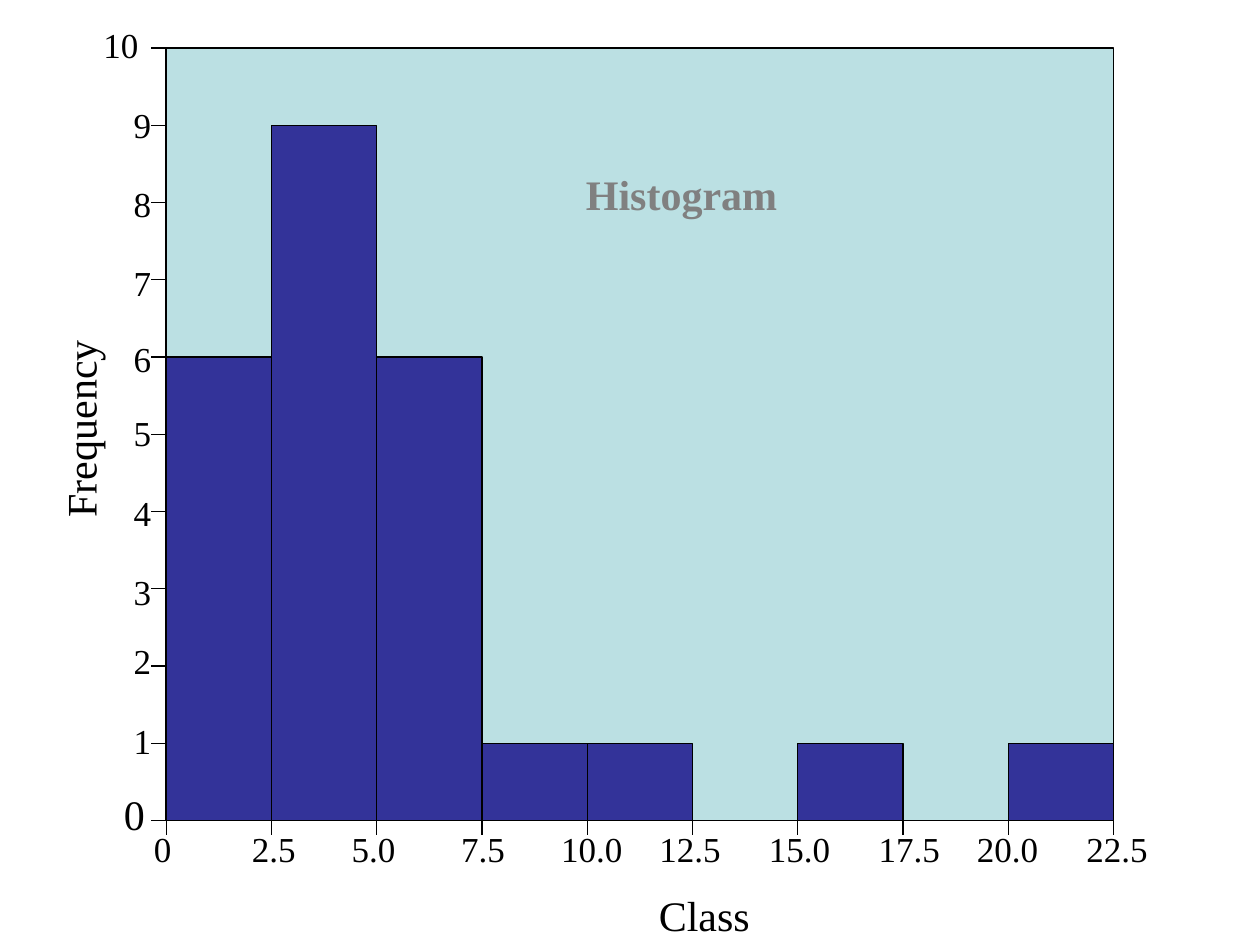
from dataclasses import dataclass

from lxml.etree import SubElement
from pptx import Presentation
from pptx.dml.color import RGBColor
from pptx.enum.shapes import MSO_CONNECTOR as Link, MSO_SHAPE as Kind
from pptx.enum.text import MSO_ANCHOR as Anchor, MSO_AUTO_SIZE as Fit, PP_ALIGN as Align
from pptx.oxml.ns import qn
from pptx.util import Cm, Pt

BLACK = RGBColor(0x00, 0x00, 0x00)
GREY = RGBColor(0x80, 0x80, 0x80)
PALE = RGBColor(0xBB, 0xE0, 0xE3)
BLUE = RGBColor(0x33, 0x33, 0x99)
FONT = "Times New Roman"

# Plot area and its scales, in centimetres
LEFT, TOP, WIDTH, HEIGHT = 3.35, 0.97, 19.1, 15.57
BASE = TOP + HEIGHT
COUNTS = [6, 9, 6, 1, 1, 0, 1, 0, 1]
PEAK = 10
STEP = WIDTH / len(COUNTS)
UNIT = HEIGHT / PEAK
TICK = 0.3

# Centres of the axis numbers
CLASS_X = [3.28, 5.52, 7.53, 9.74, 11.93, 13.91, 16.12, 18.33, 20.31, 22.52]
CLASS_Y = 17.1
COUNT_Y = [14.92, 13.32, 11.93, 10.33, 8.72, 7.23, 5.7, 4.1, 2.5]
COUNT_X = 2.87


@dataclass
class Label:
    text: str
    x: float
    y: float
    width: float = 1.75
    size: int = 20
    color: RGBColor = BLACK
    bold: bool = False
    turn: int = 0


@dataclass
class Block:
    x: float
    y: float
    width: float
    height: float
    fill: RGBColor


def draw_tick(slide, x1: float, y1: float, x2: float, y2: float) -> None:
    tick = slide.shapes.add_connector(Link.STRAIGHT, Cm(x1), Cm(y1), Cm(x2), Cm(y2))
    tick.line.color.rgb = BLACK
    tick.line.width = Pt(0.75)
    SubElement(tick.element.spPr, qn("a:effectLst"))


def draw_block(slide, block: Block) -> None:
    rect = slide.shapes.add_shape(Kind.RECTANGLE, Cm(block.x), Cm(block.y),
                                  Cm(block.width), Cm(block.height))
    rect.shadow.inherit = False
    rect.fill.solid()
    rect.fill.fore_color.rgb = block.fill
    rect.line.color.rgb = BLACK
    rect.line.width = Pt(0.75)


def set_label(shape, label: Label) -> None:
    height = 1.27 if label.size > 20 else 1.09
    shape.left, shape.top = Cm(label.x - label.width / 2), Cm(label.y - height / 2)
    shape.width, shape.height = Cm(label.width), Cm(height)
    shape.rotation = label.turn
    frame = shape.text_frame
    frame.text = label.text
    frame.word_wrap = False
    frame.auto_size = Fit.NONE
    frame.vertical_anchor = Anchor.MIDDLE
    para = frame.paragraphs[0]
    para.alignment = Align.CENTER
    font = para.runs[0].font
    font.name, font.size, font.bold = FONT, Pt(label.size), label.bold
    font.color.rgb = label.color


def draw_label(slide, label: Label) -> None:
    set_label(slide.shapes.add_textbox(0, 0, 0, 0), label)


def main() -> None:
    deck = Presentation()
    deck.slide_width, deck.slide_height = Cm(25.4), Cm(19.05)
    slide = deck.slides.add_slide(deck.slide_layouts[5])

    # Ticks, half hidden by the plot area
    for i in range(len(COUNTS) + 1):
        x = LEFT + i * STEP
        draw_tick(slide, x, BASE - TICK, x, BASE + TICK)
    for i in range(PEAK + 1):
        y = BASE - i * UNIT
        draw_tick(slide, LEFT - TICK, y, LEFT + TICK, y)

    # Plot area and bars
    draw_block(slide, Block(LEFT, TOP, WIDTH, HEIGHT, PALE))
    for i, count in enumerate(COUNTS):
        if count:
            tall = count * UNIT
            draw_block(slide, Block(LEFT + i * STEP, BASE - tall, STEP, tall, BLUE))

    # Axis numbers
    for i, x in enumerate(CLASS_X):
        draw_label(slide, Label(f"{i * 2.5:.1f}" if i else "0", x, CLASS_Y))
    draw_label(slide, Label("0", 2.71, 16.41, 0.94, 24))
    for i, y in enumerate(COUNT_Y, 1):
        draw_label(slide, Label(str(i), COUNT_X, y, 0.86))
    draw_label(slide, Label(str(PEAK), 2.44, 0.9, 1.22))

    # Axis names
    draw_label(slide, Label("Frequency", 1.61, 8.64, 4.09, 24, turn=270))
    draw_label(slide, Label("Class", 14.2, 18.44, 2.34, 24))

    # Title, brought in front of the plot area
    title = slide.shapes.title
    set_label(title, Label("Histogram", 13.74, 3.91, 4.37, 24, GREY, True))
    slide.shapes.element.append(title.element)

    deck.save("out.pptx")


if __name__ == "__main__":
    main()
